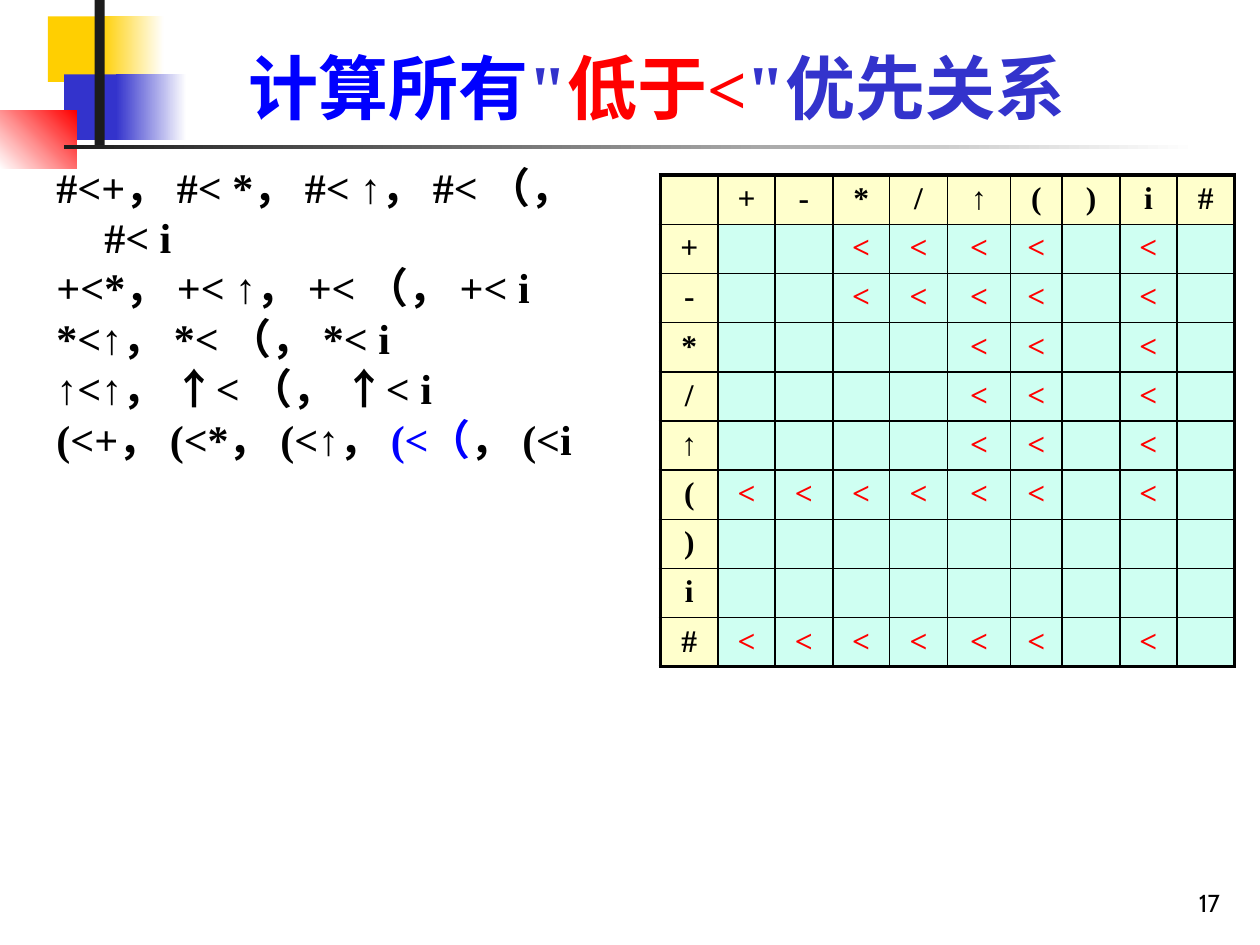
import pptx
import pptx.util
import pptx.oxml.ns
from pptx.dml.color import RGBColor
from pptx.enum.shapes import MSO_SHAPE
from pptx.enum.text import MSO_ANCHOR, PP_ALIGN
from lxml import etree

Inches, Pt = pptx.util.Inches, pptx.util.Pt
qn = pptx.oxml.ns.qn

BLACK = RGBColor(0x00, 0x00, 0x00)
WHITE = RGBColor(0xFF, 0xFF, 0xFF)
CHARCOAL = RGBColor(0x1C, 0x1C, 0x1C)
GOLD = RGBColor(0xFF, 0xCF, 0x01)
INDIGO = RGBColor(0x33, 0x33, 0xCC)
BLUE = RGBColor(0x00, 0x00, 0xFF)
RED = RGBColor(0xFF, 0x00, 0x00)
CREAM = RGBColor(0xFF, 0xFF, 0xCC)
MINT = RGBColor(0xCF, 0xFF, 0xF2)

DECOR = [
    ((0.38, 0.13, 0.67, 0.52), [GOLD], 0),
    ((0.8, 0.13, 0.5, 0.52), [GOLD, WHITE], 0),
    ((0.51, 0.59, 0.64, 0.52), [INDIGO], 0),
    ((0.92, 0.59, 0.56, 0.52), [INDIGO, WHITE], 0),
    ((0, 0.88, 0.61, 0.46), [WHITE, RED], 45),
    ((0.75, 0, 0.08, 1.15), [CHARCOAL], 0),
    ((0.51, 1.15, 9, 0.03), [CHARCOAL, WHITE], 0),
]
TITLE = [[("计算所有", BLUE), ('"', INDIGO), ("低于<", RED), ('"优先关系', INDIGO)]]
RELATIONS = [
    [("#<+， #< *， #< ↑， #< （， #< i", BLACK)],
    [("+<*， +< ↑， +< （， +< i", BLACK)],
    [("*<↑， *< （， *< i", BLACK)],
    [("↑<↑， ↑< （， ↑< i", BLACK)],
    [("(<+， (<*， (<↑， ", BLACK), ("(<（", BLUE), ("， (<i", BLACK)],
]
PAGE = [[("17", BLACK)]]

SYMBOLS = "+-*/↑()i#"
LOWER_THAN = {
    "+": "*/↑(i", "-": "*/↑(i", "*": "↑(i", "/": "↑(i", "↑": "↑(i",
    "(": "+-*/↑(i", "#": "+-*/↑(i",
}
COLUMNS = [0.46, 0.45, 0.46, 0.45, 0.46, 0.5, 0.41, 0.46, 0.45, 0.46]
ROW_HEIGHT = 0.38

TITLE_FONT = {"name": "Times New Roman", "size": Pt(40), "bold": True}
BODY_FONT = {"name": "Times New Roman", "size": Pt(24), "bold": True}
CELL_FONT = {"name": "Times New Roman", "size": Pt(18), "bold": True}
PAGE_FONT = {"name": "Cabin", "size": Pt(14), "bold": False}
CELL_FORMAT = {
    "margin_left": Inches(0.1), "margin_right": Inches(0.1),
    "margin_top": Inches(0.05), "margin_bottom": Inches(0.04),
}


def apply(obj, values):
    for name, value in values.items():
        setattr(obj, name, value)


def add_run(p, text, color, font):
    r = p.add_run()
    r.text = text
    apply(r.font, font)
    r.font.color.rgb = color


def add_decor(s, box, colors, angle):
    sp = s.shapes.add_shape(MSO_SHAPE.RECTANGLE, *map(Inches, box))
    sp.shadow.inherit = False
    sp.line.fill.background()
    if len(colors) == 1:
        sp.fill.solid()
        sp.fill.fore_color.rgb = colors[0]
        return
    sp.fill.gradient()
    sp.fill.gradient_angle = angle
    for stop, position, color in zip(sp.fill.gradient_stops, (0, 1), colors):
        stop.position = position
        stop.color.rgb = color


def add_text(s, box, paragraphs, font, align, anchor, indent=0):
    tf = s.shapes.add_textbox(*map(Inches, box)).text_frame
    apply(tf, {"word_wrap": True, "vertical_anchor": anchor})
    for i, runs in enumerate(paragraphs):
        p = tf.paragraphs[0] if i == 0 else tf.add_paragraph()
        p.alignment = align
        if indent:
            pPr = p._p.get_or_add_pPr()
            pPr.set("marL", str(Inches(indent)))
            pPr.set("indent", str(-Inches(indent)))
        for text, color in runs:
            add_run(p, text, color, font)


def add_borders(cell, widths):
    tcPr = cell._tc.get_or_add_tcPr()
    for side, width in zip("LRTB", widths):
        ln = etree.SubElement(tcPr, qn(f"a:ln{side}"), w=str(Pt(width)))
        fill = etree.SubElement(ln, qn("a:solidFill"))
        etree.SubElement(fill, qn("a:srgbClr"), val=str(BLACK))


def add_precedence_table(s):
    count = len(COLUMNS)
    last = count - 1
    table = s.shapes.add_table(
        count, count, Inches(5.24), Inches(1.39),
        Inches(sum(COLUMNS)), Inches(ROW_HEIGHT * count)).table
    for column, width in zip(table.columns, COLUMNS):
        column.width = Inches(width)
    labels = " " + SYMBOLS
    for i, row in enumerate(table.rows):
        row.height = Inches(ROW_HEIGHT)
        for j, cell in enumerate(row.cells):
            apply(cell, CELL_FORMAT)
            header = i == 0 or j == 0
            edges = (j == 0, j == last, i == 0, i == last)
            add_borders(cell, [2.25 if edge else 1 for edge in edges])
            cell.fill.solid()
            cell.fill.fore_color.rgb = CREAM if header else MINT
            if header:
                text = labels[i or j].strip()
            else:
                text = "<" if labels[j] in LOWER_THAN.get(labels[i], "") else ""
            p = cell.text_frame.paragraphs[0]
            p.alignment = PP_ALIGN.CENTER
            if text:
                add_run(p, text, BLACK if header else RED, CELL_FONT)
            else:
                end = etree.SubElement(p._p, qn("a:endParaRPr"), sz="1800")
                etree.SubElement(end, qn("a:latin"), typeface=CELL_FONT["name"])


def main():
    prs = pptx.Presentation()
    apply(prs, {"slide_width": Inches(10), "slide_height": Inches(7.5)})
    s = prs.slides.add_slide(prs.slide_layouts[6])
    for box, colors, angle in DECOR:
        add_decor(s, box, colors, angle)
    add_text(s, (7.7, 6.83, 2.08, 0.5), PAGE, PAGE_FONT,
             PP_ALIGN.RIGHT, MSO_ANCHOR.BOTTOM)
    add_text(s, (1.26, 0.23, 7.91, 0.84), TITLE, TITLE_FONT,
             PP_ALIGN.CENTER, MSO_ANCHOR.BOTTOM)
    add_text(s, (0.35, 1.23, 4.56, 5.48), RELATIONS, BODY_FONT,
             PP_ALIGN.LEFT, MSO_ANCHOR.TOP, indent=0.38)
    add_precedence_table(s)
    prs.save("out.pptx")


if __name__ == "__main__":
    main()
